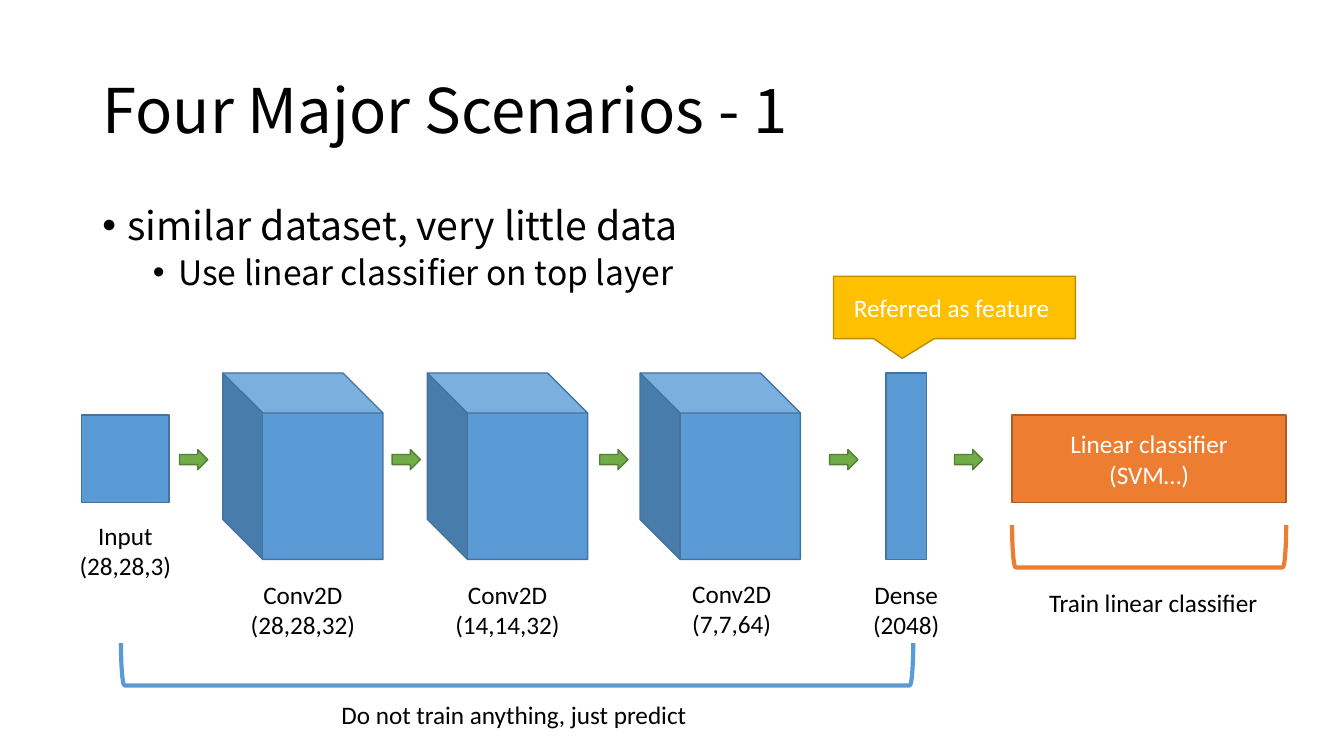
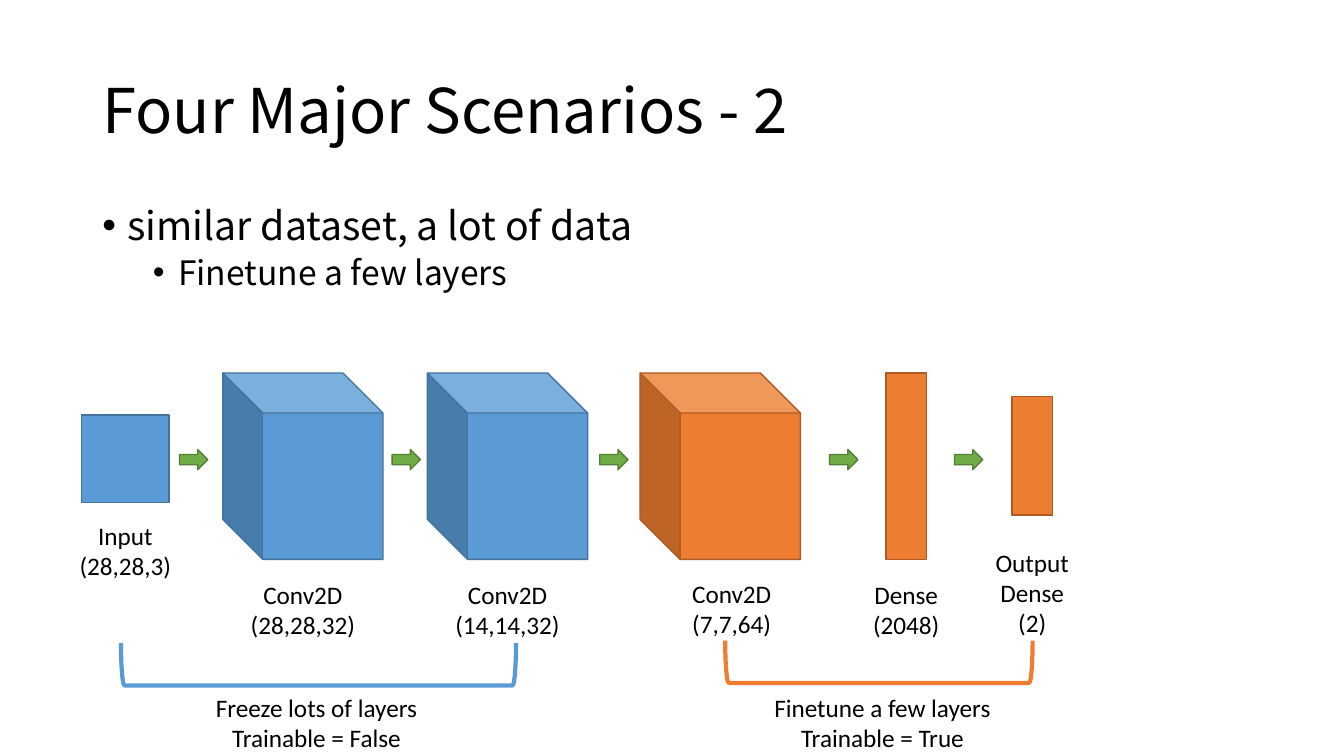
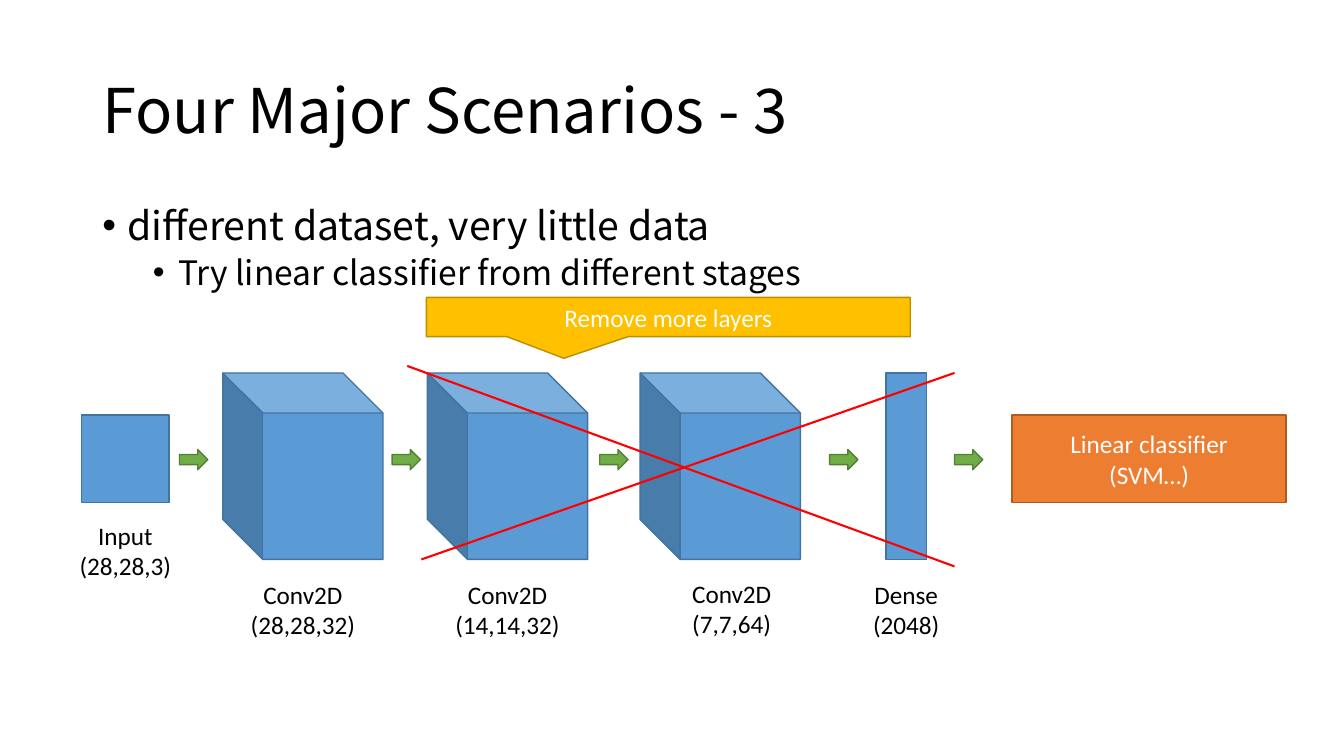
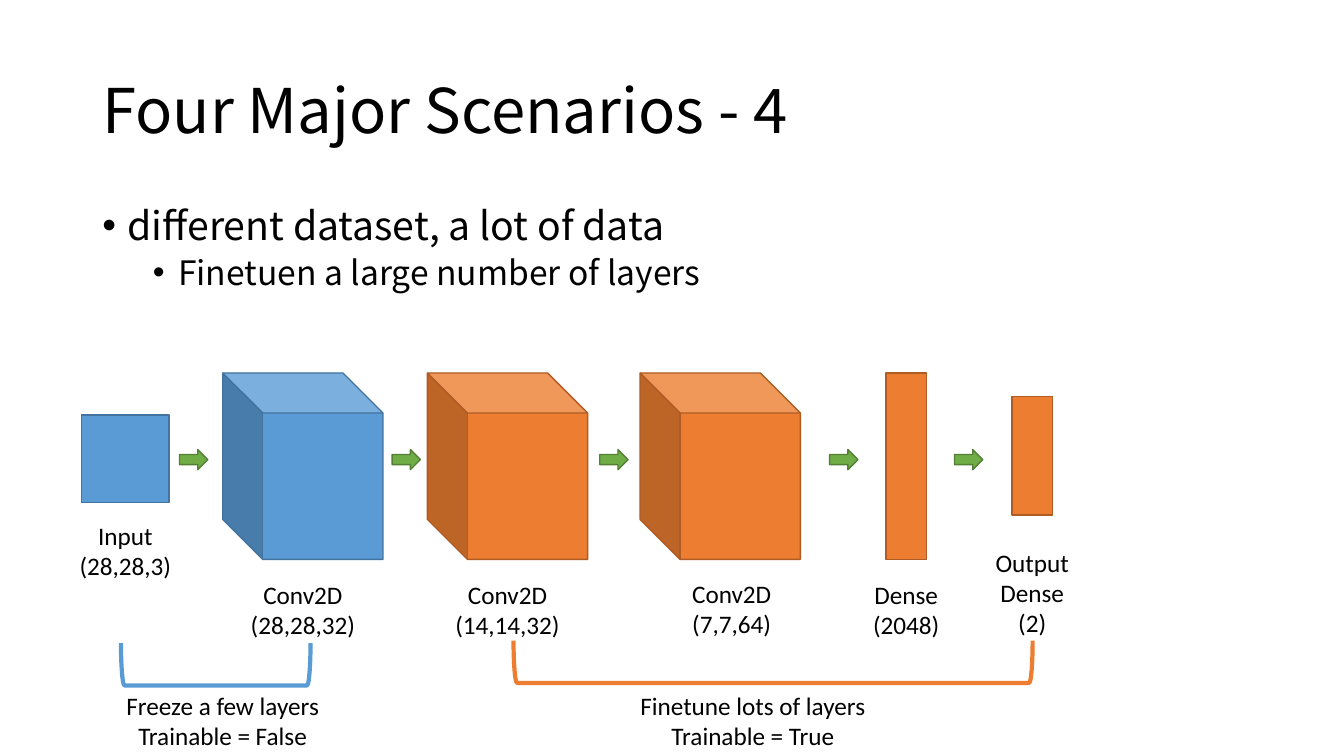
import dataclasses

import lxml.etree
import pptx
import pptx.dml.color
import pptx.enum.shapes
import pptx.enum.text
import pptx.oxml.ns
import pptx.util

Pt = pptx.util.Pt
PRESET = pptx.enum.shapes.MSO_SHAPE
ALIGN = pptx.enum.text.PP_ALIGN
ANCHOR = pptx.enum.text.MSO_ANCHOR

HEADING_FONT = "Noto Sans CJK SC"
DIAGRAM_FONT = "Calibri"
BLACK, WHITE, RED = "000000", "FFFFFF", "FF0000"
FROZEN = ("5B9BD5", "43739E")
TRAINED = ("ED7D31", "AF5C24")
FLOW = ("70AD47", "538035")
REMARK = ("FFC000", "BD8E00")

TITLE_BOX = (66, 28.8, 828, 104.4)
BODY_BOX = (66, 144, 828, 342.7)
NETWORK_BOX = (58.3, 266.4, 865, 133.2)
ARROW_OFFSETS = (69.9, 221.8, 370.1, 534.3, 623.5)
CLASSIFIER_OFFSET = (664.6, 30.2, 195.8, 62.6)


@dataclasses.dataclass
class Layer:
    caption: str
    preset: object
    left: float
    top: float
    width: float
    height: float
    caption_gap: float = 10.8
    caption_shift: float = 0


HIDDEN_LAYERS = (
    Layer("Input\n(28,28,3)", PRESET.RECTANGLE, 0, 30.2, 62.6, 62.6, 8.7),
    Layer("Conv2D\n(28,28,32)", PRESET.CUBE, 100.8, 0, 114.5, 133.2),
    Layer("Conv2D\n(14,14,32)", PRESET.CUBE, 247, 0, 114.5, 133.2),
    Layer("Conv2D\n(7,7,64)", PRESET.CUBE, 398.9, 0, 114.5, 133.2, 10.1, 8.2),
    Layer("Dense\n(2048)", PRESET.RECTANGLE, 574.6, 0, 28.8, 133.2),
)
OUTPUT_LAYER = Layer("Output\nDense\n(2)", PRESET.RECTANGLE, 664.6, 16.6, 28.8, 85, 19.4)


def rgb(hex_code):
    return pptx.dml.color.RGBColor.from_string(hex_code)


def points(box):
    return [Pt(length) for length in box]


def format_text(frame, text, size, font, color, align):
    frame.text = text
    for paragraph in frame.paragraphs:
        paragraph.alignment = align
        for run in paragraph.runs:
            run.font.size = Pt(size)
            run.font.name = font
            run.font.color.rgb = rgb(color)


def add_block(slide, preset, box, colors, text=""):
    block = slide.shapes.add_shape(preset, *points(box))
    block.shadow.inherit = False
    fill, outline = colors
    block.fill.solid()
    block.fill.fore_color.rgb = rgb(fill)
    block.line.color.rgb = rgb(outline)
    block.line.width = Pt(1)
    if text:
        block.text_frame.vertical_anchor = ANCHOR.MIDDLE
        format_text(block.text_frame, text, 18, DIAGRAM_FONT, WHITE, ALIGN.CENTER)
    return block


def add_caption(slide, text, center, top, width=90):
    height = 7.2 + 21.6 * len(text.split("\n"))
    caption = slide.shapes.add_textbox(*points((center - width / 2, top, width, height)))
    frame = caption.text_frame
    frame.word_wrap = False
    frame.auto_size = pptx.enum.text.MSO_AUTO_SIZE.SHAPE_TO_FIT_TEXT
    format_text(frame, text, 18, DIAGRAM_FONT, BLACK, ALIGN.CENTER)


def add_layer(slide, layer, box, colors):
    left, top = box[0] + layer.left, box[1] + layer.top
    block = add_block(slide, layer.preset, (left, top, layer.width, layer.height), colors)
    if layer.preset == PRESET.CUBE:
        block.element.spPr.find(pptx.oxml.ns.qn("a:xfrm")).set("flipH", "1")
    center = left + layer.width / 2 + layer.caption_shift
    add_caption(slide, layer.caption, center, top + layer.height + layer.caption_gap)


def add_network(slide, box, frozen_count, has_classifier):
    left, top = box[:2]
    layers = HIDDEN_LAYERS if has_classifier else HIDDEN_LAYERS + (OUTPUT_LAYER,)
    for index, layer in enumerate(layers):
        add_layer(slide, layer, box, FROZEN if index < frozen_count else TRAINED)
    for offset in ARROW_OFFSETS:
        add_block(slide, PRESET.RIGHT_ARROW, (left + offset, top + 54.7, 20.2, 14.4), FLOW)
    if has_classifier:
        dx, dy, width, height = CLASSIFIER_OFFSET
        add_block(slide, PRESET.RECTANGLE, (left + dx, top + dy, width, height), TRAINED,
                  "Linear classifier\n(SVM…)")


def add_callout(slide, box, tip, text):
    callout = add_block(slide, PRESET.RECTANGULAR_CALLOUT, box, REMARK, text)
    callout.adjustments[0], callout.adjustments[1] = tip


def add_bracket(slide, box, colors, text, caption_center, caption_top, caption_width):
    left, top, width, depth = box
    upright = (left + (width - depth) / 2, top + (depth - width) / 2, depth, width)
    bracket = slide.shapes.add_shape(PRESET.RIGHT_BRACKET, *points(upright))
    bracket.rotation = 90
    bracket.shadow.inherit = False
    bracket.fill.background()
    bracket.line.color.rgb = rgb(colors[0])
    bracket.line.width = Pt(3)
    add_caption(slide, text, caption_center, caption_top, caption_width)


def add_strike(slide, start, end):
    strike = slide.shapes.add_connector(
        pptx.enum.shapes.MSO_CONNECTOR.STRAIGHT, *points(start + end))
    strike.line.color.rgb = rgb(RED)
    strike.line.width = Pt(1.5)
    lxml.etree.SubElement(strike.element.spPr, pptx.oxml.ns.qn("a:effectLst"))


def place(placeholder, box):
    placeholder.left, placeholder.top, placeholder.width, placeholder.height = points(box)


def add_title(slide, box, text):
    title = slide.shapes.title
    place(title, box)
    title.text_frame.vertical_anchor = ANCHOR.MIDDLE
    format_text(title.text_frame, text, 44, HEADING_FONT, BLACK, ALIGN.LEFT)
    title.text_frame.paragraphs[0].line_spacing = 0.9


def add_summary(slide, box, situation, advice):
    body = slide.placeholders[1]
    place(body, box)
    frame = body.text_frame
    format_text(frame, f"{situation}\n{advice}", 28, HEADING_FONT, BLACK, ALIGN.LEFT)
    styles = ((28, 18, 10), (24, 54, 5))
    for level, (paragraph, style) in enumerate(zip(frame.paragraphs, styles)):
        size, indent, space = style
        paragraph.level = level
        paragraph.line_spacing = 0.9
        paragraph.space_before = Pt(space)
        paragraph.runs[0].font.size = Pt(size)
        properties = paragraph._p.get_or_add_pPr()
        properties.set("marL", str(Pt(indent)))
        properties.set("indent", str(Pt(-18)))
        bullet = lxml.etree.SubElement(properties, pptx.oxml.ns.qn("a:buChar"))
        bullet.set("char", "•")


def add_scenario(deck, number, situation, advice, frozen_count, has_classifier):
    slide = deck.slides.add_slide(deck.slide_layouts[1])
    add_title(slide, TITLE_BOX, f"Four Major Scenarios - {number}")
    add_summary(slide, BODY_BOX, situation, advice)
    add_network(slide, NETWORK_BOX, frozen_count, has_classifier)
    return slide


deck = pptx.Presentation()
deck.slide_width, deck.slide_height = Pt(960), Pt(540)

feature = add_scenario(deck, 1, "similar dataset, very little data",
                       "Use linear classifier on top layer", 5, True)
add_callout(feature, (595.4, 197.3, 172.8, 44.6), (-0.216, 0.816), "Referred as feature ")
add_bracket(feature, (86.4, 459.4, 565.9, 30.2), FROZEN,
            "Do not train anything, just predict", 367.2, 496.1, 268)
add_bracket(feature, (722.9, 375.1, 195.8, 30.2), TRAINED,
            "Train linear classifier", 823.7, 416.2, 170)

few = add_scenario(deck, 2, "similar dataset, a lot of data", "Finetune a few layers", 3, False)
add_bracket(few, (86.4, 459.4, 282.2, 30.2), FROZEN,
            "Freeze lots of layers\nTrainable = False", 226.1, 491, 170)
add_bracket(few, (518, 457.6, 219.6, 30.2), TRAINED,
            "Finetune a few layers\nTrainable = True", 630.4, 491, 174)

stages = add_scenario(deck, 3, "different dataset, very little data",
                      "Try linear classifier from different stages", 5, True)
add_callout(stages, (304.6, 212.4, 345.6, 28.1), (-0.216, 1.049), "Remove more layers")
add_strike(stages, (290.9, 261.4), (681.8, 404.6))
add_strike(stages, (681.8, 266.4), (301, 399.6))

many = add_scenario(deck, 4, "different dataset, a lot of data",
                    "Finetuen a large number of layers", 2, False)
add_bracket(many, (86.4, 459.4, 135.4, 30.2), FROZEN,
            "Freeze a few layers\nTrainable = False", 159.1, 489.6, 160)
add_bracket(many, (366.8, 457.6, 370.8, 30.2), TRAINED,
            "Finetune lots of layers\nTrainable = True", 537.8, 489.6, 184)

deck.save("out.pptx")
